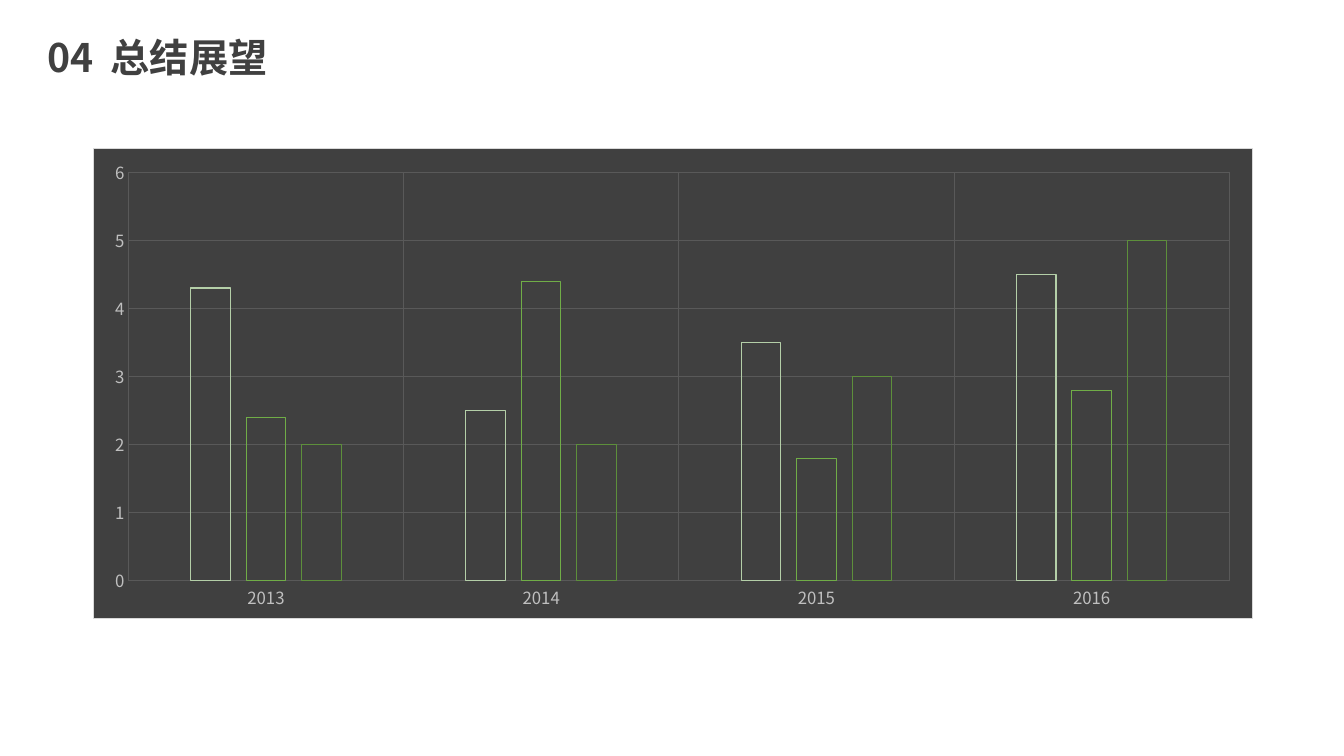
"""Build the outlook slide: a title over a dark chart of outlined columns."""
from lxml import etree
from pptx import Presentation
from pptx.chart.data import CategoryChartData
from pptx.dml.color import RGBColor
from pptx.enum import chart as kinds, text
from pptx.oxml import parse_xml
from pptx.oxml.ns import nsdecls, qn
from pptx.util import Pt

FONT = "Noto Sans CJK SC"
DARK = RGBColor(0x40, 0x40, 0x40)
GRID = RGBColor(0x59, 0x59, 0x59)
PALE = RGBColor(0xBF, 0xBF, 0xBF)
EDGE = RGBColor(0xD9, 0xD9, 0xD9)
BLACK = RGBColor(0, 0, 0)
THIN = Pt(0.75)

TITLE = [("04", 0), (" ", 6), ("总结展望", 0)]
YEARS = ["2013", "2014", "2015", "2016"]
SERIES = [
    ("Series 1", (4.3, 2.5, 3.5, 4.5), RGBColor(0xB4, 0xCF, 0xA8)),
    ("Series 2", (2.4, 4.4, 1.8, 2.8), RGBColor(0x70, 0xAD, 0x47)),
    ("Series 3", (2, 2, 3, 5), RGBColor(0x5D, 0x8F, 0x3B)),
]
PLOT = {"x": 0.03, "y": 0.05, "w": 0.95, "h": 0.87}


def style(font, size, color, bold=False):
    font.name, font.size, font.bold = FONT, Pt(size), bold
    font.color.rgb = color


def write(para, words, size=28, color=DARK, bold=True, space=0):
    run = para.add_run()
    run.text = words
    style(run.font, size, color, bold)
    props = run.font._element if hasattr(run.font, "_element") else run._r.get_or_add_rPr()
    etree.SubElement(props, qn("a:ea")).set("typeface", FONT)
    if space:
        props.set("spc", str(space * 100))


def draw_title(slide):
    title = slide.shapes.title
    title.left, title.top, title.width, title.height = Pt(26.6), Pt(22), Pt(225.4), Pt(42)
    frame = title.text_frame
    frame.word_wrap = True
    frame.auto_size = text.MSO_AUTO_SIZE.NONE
    frame.vertical_anchor = text.MSO_ANCHOR.MIDDLE
    para = frame.paragraphs[0]
    para.alignment = text.PP_ALIGN.LEFT
    para.line_spacing = 0.9
    para.space_before = Pt(0)
    for words, space in TITLE:
        write(para, words, space=space)


def format_axis(axis):
    axis.has_major_gridlines = True
    line = axis.major_gridlines.format.line
    line.color.rgb, line.width = GRID, THIN
    axis.format.line.fill.background()
    axis.major_tick_mark = axis.minor_tick_mark = kinds.XL_TICK_MARK.NONE
    style(axis.tick_labels.font, 12, PALE)


def frame_chart(chart):
    root = chart.element
    root.find(qn("c:txPr")).addprevious(parse_xml(
        f'<c:spPr {nsdecls("c", "a")}>'
        f'<a:solidFill><a:srgbClr val="{DARK}"/></a:solidFill>'
        f'<a:ln w="{THIN}"><a:solidFill><a:srgbClr val="{EDGE}"/></a:solidFill></a:ln>'
        '</c:spPr>'))
    area = root.find(".//" + qn("c:plotArea"))
    for old in area.findall(qn("c:layout")):
        area.remove(old)
    sizes = "".join(f'<c:{key} val="{val}"/>' for key, val in PLOT.items())
    area.insert(0, parse_xml(
        f'<c:layout {nsdecls("c")}><c:manualLayout><c:layoutTarget val="inner"/>'
        f'<c:xMode val="edge"/><c:yMode val="edge"/>{sizes}</c:manualLayout></c:layout>'))


def draw_chart(slide):
    data = CategoryChartData()
    data.categories = YEARS
    for name, values, _ in SERIES:
        data.add_series(name, values)
    chart = slide.shapes.add_chart(
        kinds.XL_CHART_TYPE.COLUMN_CLUSTERED,
        Pt(66.5), Pt(106), Pt(828.5), Pt(336), data).chart
    chart.has_title = chart.has_legend = False
    style(chart.font, 10, BLACK)
    plot = chart.plots[0]
    plot.vary_by_categories = False
    plot.gap_width, plot.overlap = 315, -40
    for series, (_, _, color) in zip(plot.series, SERIES):
        series.format.fill.background()
        series.format.line.color.rgb = color
        series.format.line.width = THIN
    for axis in (chart.category_axis, chart.value_axis):
        format_axis(axis)
    scale = chart.value_axis
    scale.minimum_scale, scale.maximum_scale, scale.major_unit = 0, 6, 1
    frame_chart(chart)


def main():
    deck = Presentation()
    deck.slide_width, deck.slide_height = Pt(960), Pt(540)
    slide = deck.slides.add_slide(deck.slide_layouts[5])
    draw_title(slide)
    draw_chart(slide)
    deck.save("out.pptx")


if __name__ == "__main__":
    main()
